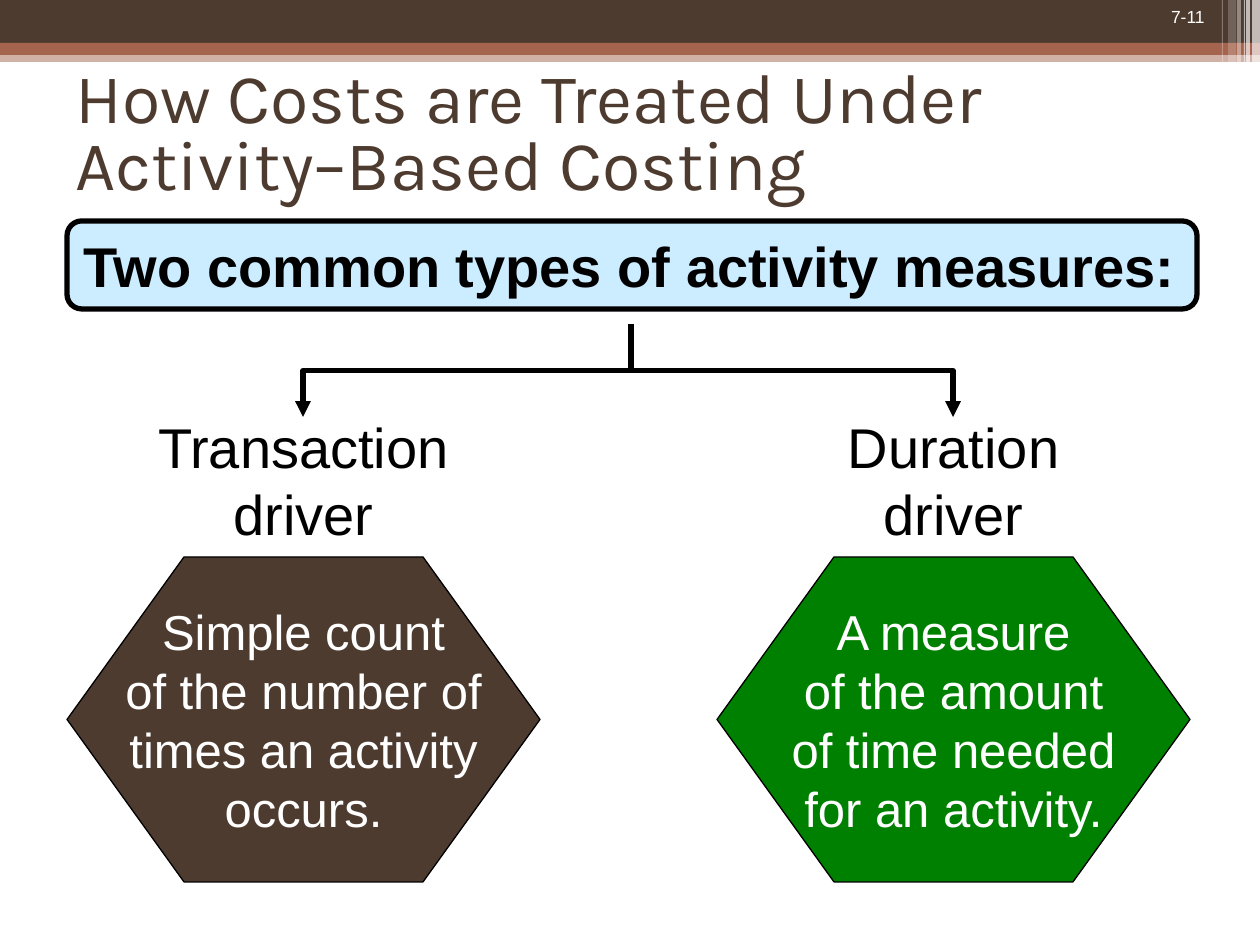
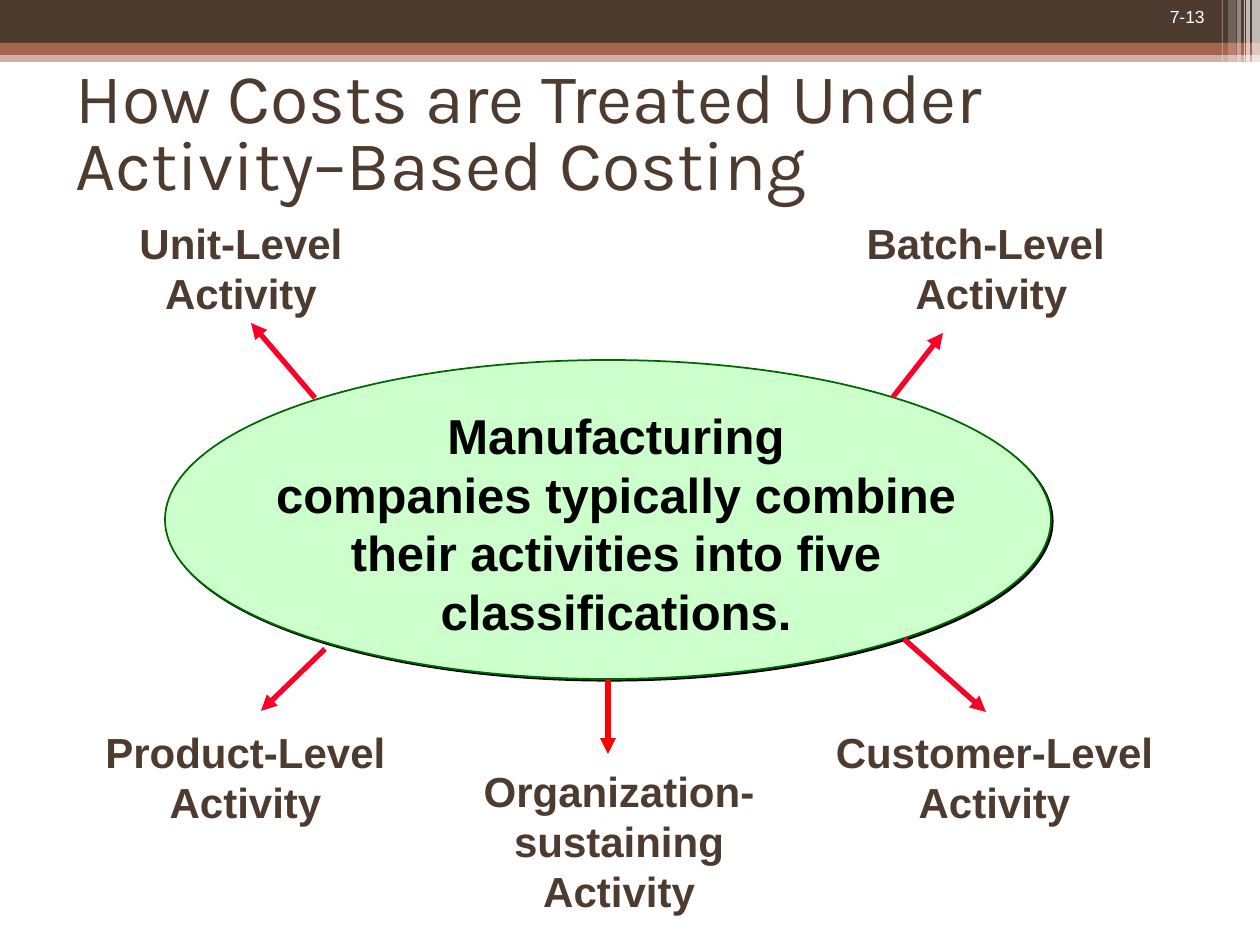
from lxml.etree import SubElement
from pptx import Presentation
from pptx.dml.color import RGBColor
from pptx.enum.shapes import MSO_CONNECTOR, MSO_SHAPE
from pptx.enum.text import MSO_ANCHOR, PP_ALIGN
from pptx.oxml.ns import qn
from pptx.util import Pt

EMU_PER_PX = 914400 / 126
SLIDE_WIDTH, SLIDE_HEIGHT = 1260, 945

BROWN = RGBColor(0x4E, 0x3B, 0x30)
RUST = RGBColor(0xA5, 0x64, 0x4E)
WHITE = RGBColor(0xFF, 0xFF, 0xFF)
BLACK = RGBColor(0x00, 0x00, 0x00)
GREEN = RGBColor(0x00, 0x80, 0x00)
DARK_GREEN = RGBColor(0x00, 0x66, 0x00)
PALE_GREEN = RGBColor(0xCC, 0xFF, 0xCC)
PALE_BLUE = RGBColor(0xCC, 0xEC, 0xFF)
CRIMSON = RGBColor(0xFC, 0x01, 0x28)
RED = RGBColor(0xFF, 0x00, 0x00)

TITLE = "How Costs are Treated Under\nActivity–Based Costing"
# left, width, height, opacity in percent
STRIPES = [
    (1252, 8, 86, 65), (1246, 4, 86, 65), (1244, 1, 86, 60),
    (1237, 4, 86, 40), (1228, 8, 81, 20), (1222, 1, 81, 30),
]


def px(*lengths):
    return [round(length * EMU_PER_PX) for length in lengths]


def write_text(frame, *paragraphs, size=24, color=BLACK, bold=False,
               font="Arial", align=PP_ALIGN.CENTER, anchor=MSO_ANCHOR.TOP,
               wrap=False, spacing=None):
    """Fill a text frame; a newline inside a paragraph is a line break."""
    frame.word_wrap = wrap
    frame.vertical_anchor = anchor
    for index, text in enumerate(paragraphs):
        paragraph = frame.add_paragraph() if index else frame.paragraphs[0]
        paragraph.text = text
        paragraph.alignment = align
        paragraph.line_spacing = spacing
        for run in paragraph.runs:
            run.font.name = font
            run.font.size = Pt(size)
            run.font.bold = bold
            run.font.color.rgb = color


class Deck:
    """Holds the shared style and the slide being built."""

    def __init__(self):
        self.presentation = Presentation()
        width, height = px(SLIDE_WIDTH, SLIDE_HEIGHT)
        self.presentation.slide_width = width
        self.presentation.slide_height = height
        self.slide = None

    def start_slide(self, number):
        layout = self.presentation.slide_layouts[6]
        self.slide = self.presentation.slides.add_slide(layout)
        self.band(0, 50, SLIDE_WIDTH, 12, RUST, opacity=50)
        self.band(0, 0, SLIDE_WIDTH, 43, BROWN)
        self.band(0, 43, SLIDE_WIDTH, 12, RUST)
        for left, width, height, opacity in STRIPES:
            self.band(left, 0, width, height, WHITE, opacity)
        self.text(1081, 0, 136, 34, number, size=10, color=WHITE,
                  align=PP_ALIGN.RIGHT, wrap=True)
        self.text(63, 63, 1134, 147, TITLE, size=40, color=BROWN, font="Karla",
                  align=PP_ALIGN.LEFT, anchor=MSO_ANCHOR.MIDDLE, wrap=True,
                  spacing=0.8)

    def shape(self, kind, left, top, width, height, fill, line=None, weight=1):
        shape = self.slide.shapes.add_shape(kind, *px(left, top, width, height))
        shape.shadow.inherit = False
        shape.fill.solid()
        shape.fill.fore_color.rgb = fill
        if line is None:
            shape.line.fill.background()
        else:
            shape.line.color.rgb = line
            shape.line.width = Pt(weight)
        return shape

    def band(self, left, top, width, height, fill, opacity=100):
        band = self.shape(MSO_SHAPE.RECTANGLE, left, top, width, height, fill)
        if opacity < 100:
            color = band._element.spPr.find(f".//{qn('a:srgbClr')}")
            SubElement(color, qn("a:alpha"), val=str(opacity * 1000))

    def text(self, left, top, width, height, *paragraphs, **style):
        box = self.slide.shapes.add_textbox(*px(left, top, width, height))
        write_text(box.text_frame, *paragraphs, **style)

    def hard_shadow(self, shape):
        """Give the shape a crisp black shadow to the lower right."""
        effects = shape._element.spPr.find(qn("a:effectLst"))
        shadow = SubElement(effects, qn("a:outerShdw"), blurRad="0",
                            dist=str(Pt(1.4)), dir="2700000", algn="ctr",
                            rotWithShape="0")
        SubElement(shadow, qn("a:srgbClr"), val=str(BLACK))

    def arrow(self, start, end, color, kind=MSO_CONNECTOR.STRAIGHT):
        arrow = self.slide.shapes.add_connector(kind, *px(*start, *end))
        arrow.line.color.rgb = color
        arrow.line.width = Pt(3)
        properties = arrow._element.spPr
        SubElement(properties.find(qn("a:ln")), qn("a:tailEnd"), type="triangle")
        SubElement(properties, qn("a:effectLst"))
        return arrow

    def branch(self, start, end, color):
        """Draw an elbow arrow that leaves and arrives vertically."""
        (x1, y1), (x2, y2) = start, end
        middle_x, middle_y = (x1 + x2) / 2, (y1 + y2) / 2
        to_right = x2 > x1
        # The elbow is laid out sideways, then turned about its centre.
        reach = (y2 - y1) / 2 * (-1 if to_right else 1)
        rise = abs(x2 - x1) / 2
        elbow = self.arrow((middle_x - reach, middle_y - rise),
                           (middle_x + reach, middle_y + rise),
                           color, MSO_CONNECTOR.ELBOW)
        frame = elbow._element.spPr.find(qn("a:xfrm"))
        frame.set("rot", str((270 if to_right else 90) * 60000))


def build_activity_measures(deck):
    deck.start_slide("7-11")
    drivers = [
        (67, BROWN, "Transaction\ndriver",
         "Simple count\nof the number of\ntimes an activity\noccurs."),
        (717, GREEN, "Duration\ndriver",
         "A measure\nof the amount\nof time needed\nfor an activity."),
    ]
    width = 473
    for left, fill, name, meaning in drivers:
        hexagon = deck.shape(MSO_SHAPE.HEXAGON, left, 557, width, 325, fill,
                             line=BLACK, weight=0.75)
        hexagon.adjustments[0] = 0.36
        write_text(hexagon.text_frame, meaning, size=28, color=WHITE,
                   anchor=MSO_ANCHOR.MIDDLE)
        deck.text(left, 406, width, 147, name, size=32)
        deck.branch((631, 324), (left + width // 2, 417), BLACK)

    heading = deck.shape(MSO_SHAPE.ROUNDED_RECTANGLE, 67, 221, 1130, 88,
                         PALE_BLUE, line=BLACK, weight=3)
    write_text(heading.text_frame, "Two common types of activity measures:",
               size=32, bold=True, align=PP_ALIGN.LEFT)


def build_activity_levels(deck):
    deck.start_slide("7-13")
    ellipse = deck.shape(MSO_SHAPE.OVAL, 165, 360, 886, 319, PALE_GREEN,
                         line=DARK_GREEN)
    deck.hard_shadow(ellipse)
    deck.text(254, 399, 724, 247,
              "Manufacturing\ncompanies typically combine\n"
              "their activities into five\nclassifications.",
              size=28, bold=True)

    # name, label box, arrow start, arrow end, arrow colour
    levels = [
        ("Unit-Level", (127, 211, 228, 113), (315, 398), (251, 323), CRIMSON),
        ("Batch-Level ", (854, 211, 275, 113), (893, 397), (943, 333), CRIMSON),
        ("Product-Level", (93, 720, 305, 113), (325, 649), (261, 711), CRIMSON),
        ("Customer-Level", (823, 720, 343, 113), (904, 639), (986, 712), CRIMSON),
        ("Organization-\nsustaining", (471, 759, 296, 164),
         (608, 680), (608, 754), RED),
    ]
    for name, box, start, end, color in levels:
        deck.text(*box, name, "Activity", color=BROWN, bold=True)
        deck.arrow(start, end, color)


def main():
    deck = Deck()
    build_activity_measures(deck)
    build_activity_levels(deck)
    deck.presentation.save("out.pptx")


if __name__ == "__main__":
    main()
